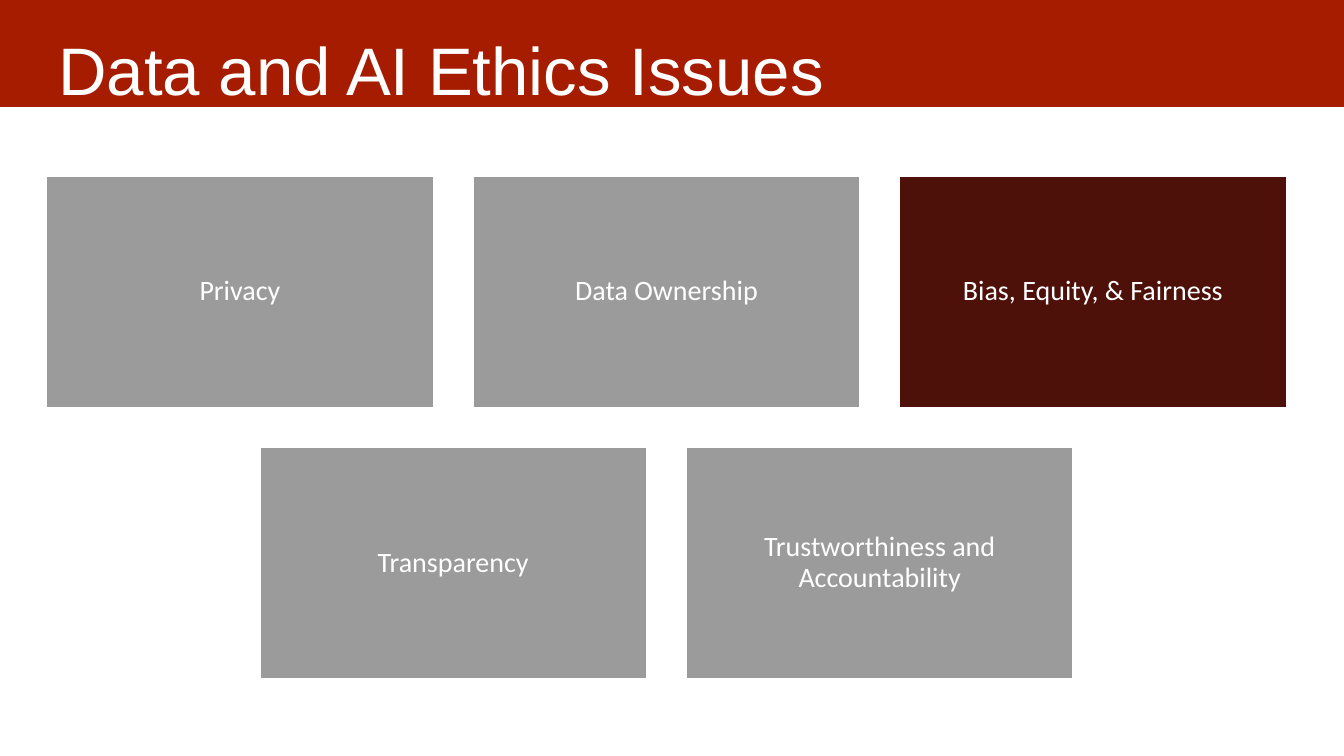
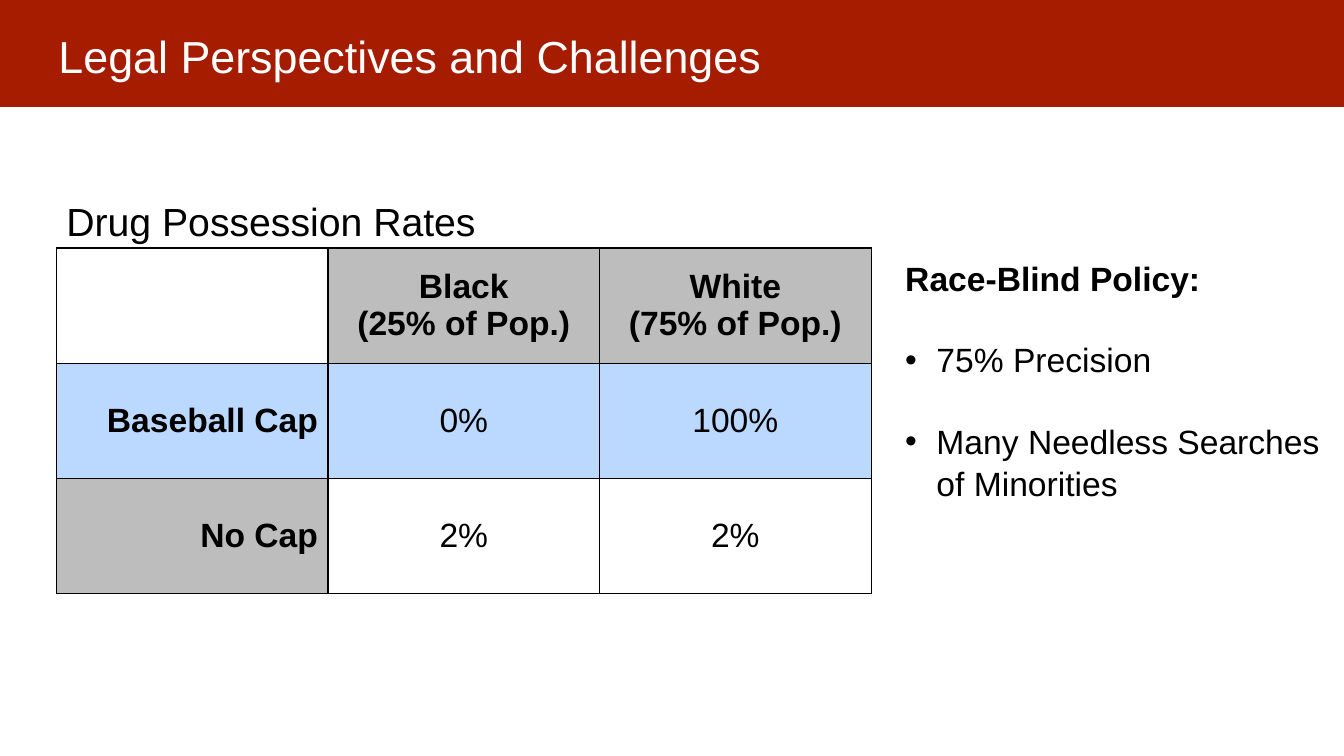
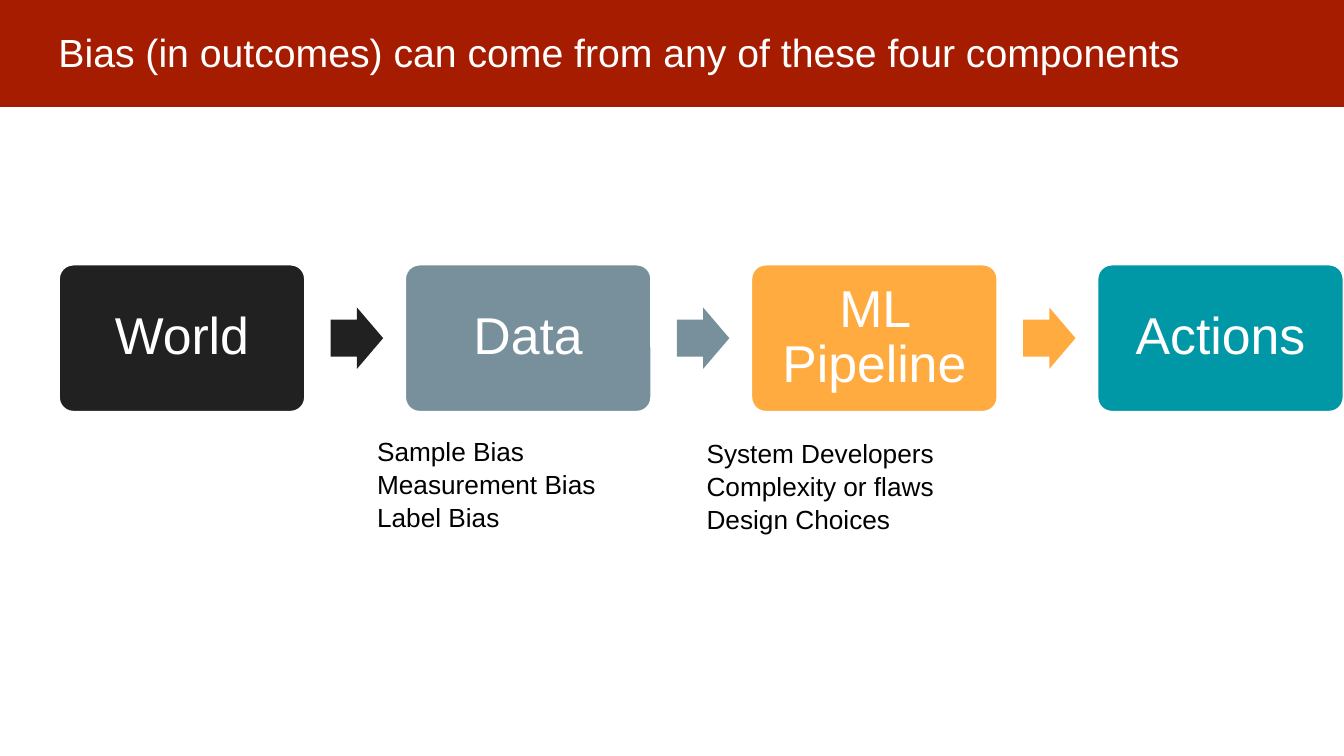
from dataclasses import dataclass
from typing import Any, Optional

from lxml.etree import SubElement
from pptx import Presentation
from pptx.dml.color import RGBColor
from pptx.enum.shapes import MSO_SHAPE
from pptx.enum.text import MSO_ANCHOR, PP_ALIGN
from pptx.oxml.ns import qn
from pptx.util import Inches, Pt

# Shared look
BAND_RED = RGBColor(0xA6, 0x1C, 0x00)
WHITE = RGBColor(0xFF, 0xFF, 0xFF)
BLACK = RGBColor(0x00, 0x00, 0x00)
TOPIC_GRAY = RGBColor(0x9B, 0x9B, 0x9B)
TOPIC_MAROON = RGBColor(0x4D, 0x11, 0x0A)
HEADER_GRAY = RGBColor(0xBD, 0xBD, 0xBD)
ROW_BLUE = RGBColor(0xBB, 0xD8, 0xFF)
STAGE_BLACK = RGBColor(0x21, 0x21, 0x21)
STAGE_SLATE = RGBColor(0x78, 0x90, 0x9C)
STAGE_ORANGE = RGBColor(0xFF, 0xAB, 0x40)
STAGE_TEAL = RGBColor(0x00, 0x97, 0xA7)

BODY_SPACING = 1.04
DIAGRAM_SPACING = 0.9
HANGING_INDENT = Inches(0.31)


@dataclass(frozen=True)
class Box:
    left: float
    top: float
    width: float
    height: float

    def lengths(self) -> tuple:
        return tuple(Inches(v) for v in (self.left, self.top, self.width, self.height))


@dataclass(frozen=True)
class TextStyle:
    size: float
    color: RGBColor = BLACK
    bold: bool = False
    name: str = "Arial"
    alignment: PP_ALIGN = PP_ALIGN.LEFT
    line_spacing: float = BODY_SPACING


@dataclass(frozen=True)
class Line:
    text: str
    style: TextStyle
    bullet: bool = False
    space_before: float = 0


@dataclass(frozen=True)
class Tile:
    label: str
    fill: RGBColor


@dataclass(frozen=True)
class Cell:
    text: str = ""
    fill: Optional[RGBColor] = None
    bold: bool = False
    alignment: PP_ALIGN = PP_ALIGN.CENTER


def apply_format(target: Any, values: dict) -> None:
    for name, value in values.items():
        setattr(target, name, value)


def add_bullet(paragraph: Any) -> None:
    properties = paragraph._p.get_or_add_pPr()
    properties.set("marL", str(HANGING_INDENT))
    properties.set("indent", str(-HANGING_INDENT))
    SubElement(properties, qn("a:buFont")).set("typeface", "Arial")
    SubElement(properties, qn("a:buChar")).set("char", "•")


def write_lines(frame: Any, lines: list[Line]) -> None:
    for index, line in enumerate(lines):
        paragraph = frame.paragraphs[0] if index == 0 else frame.add_paragraph()
        style = line.style
        if line.bullet:
            add_bullet(paragraph)
        apply_format(paragraph, {
            "alignment": style.alignment,
            "line_spacing": style.line_spacing,
            "space_before": Pt(line.space_before),
        })
        run = paragraph.add_run()
        run.text = line.text
        apply_format(run.font, {"name": style.name, "size": Pt(style.size), "bold": style.bold})
        run.font.color.rgb = style.color


def add_text(slide: Any, box: Box, lines: list[Line], **frame_format: Any) -> None:
    frame = slide.shapes.add_textbox(*box.lengths()).text_frame
    apply_format(frame, {"word_wrap": True, **frame_format})
    write_lines(frame, lines)


def add_filled_shape(slide: Any, kind: MSO_SHAPE, box: Box, fill: RGBColor,
                     outlined: bool = False) -> Any:
    shape = slide.shapes.add_shape(kind, *box.lengths())
    shape.shadow.inherit = False
    shape.fill.solid()
    shape.fill.fore_color.rgb = fill
    if outlined:
        shape.line.color.rgb = WHITE
        shape.line.width = Pt(2)
    else:
        shape.line.fill.background()
    return shape


def add_tile(slide: Any, kind: MSO_SHAPE, box: Box, tile: Tile,
             style: TextStyle, inset: float) -> Any:
    shape = add_filled_shape(slide, kind, box, tile.fill, outlined=True)
    margins = {f"margin_{side}": Inches(inset) for side in ("left", "top", "right", "bottom")}
    apply_format(shape.text_frame, {
        "word_wrap": True, "vertical_anchor": MSO_ANCHOR.MIDDLE, **margins,
    })
    write_lines(shape.text_frame, [Line(tile.label, style)])
    return shape


def add_titled_slide(presentation: Any, title: str, size: float) -> Any:
    slide = presentation.slides.add_slide(presentation.slide_layouts[6])
    add_filled_shape(slide, MSO_SHAPE.RECTANGLE, Box(-0.02, -0.04, 13.36, 1.1), BAND_RED)
    add_text(slide, Box(0.45, 0.09, 12.42, 0.83),
             [Line(title, TextStyle(size, WHITE, line_spacing=1.0))],
             margin_left=Inches(0.13), margin_right=Inches(0.13),
             margin_top=Inches(0.19), margin_bottom=Inches(0.13))
    return slide


def build_issues(presentation: Any) -> None:
    slide = add_titled_slide(presentation, "Data and AI Ethics Issues", 48)
    style = TextStyle(20, WHITE, name="Calibri", alignment=PP_ALIGN.CENTER,
                      line_spacing=DIAGRAM_SPACING)
    rows = [
        [Tile("Privacy", TOPIC_GRAY), Tile("Data Ownership", TOPIC_GRAY),
         Tile("Bias, Equity, & Fairness", TOPIC_MAROON)],
        [Tile("Transparency", TOPIC_GRAY),
         Tile("Trustworthiness and Accountability", TOPIC_GRAY)],
    ]
    # Each row of tiles is centred on the same axis
    center, top, width, height, gap = 6.61, 1.74, 3.85, 2.31, 0.38
    for row_index, row in enumerate(rows):
        left = center - (len(row) * (width + gap) - gap) / 2
        for column, tile in enumerate(row):
            box = Box(left + column * (width + gap), top + row_index * (height + gap),
                      width, height)
            add_tile(slide, MSO_SHAPE.RECTANGLE, box, tile, style, 0.08)


def format_cell(cell: Any, content: Cell) -> None:
    cell.vertical_anchor = MSO_ANCHOR.MIDDLE
    properties = cell._tc.get_or_add_tcPr()
    for edge in ("lnL", "lnR", "lnT", "lnB"):
        border = SubElement(properties, qn(f"a:{edge}"), w=str(Pt(1)))
        fill = SubElement(border, qn("a:solidFill"))
        SubElement(fill, qn("a:srgbClr"), val=str(BLACK))
    if content.fill is None:
        cell.fill.background()
    else:
        cell.fill.solid()
        cell.fill.fore_color.rgb = content.fill
    if content.text:
        style = TextStyle(24, bold=content.bold, alignment=content.alignment, line_spacing=1.0)
        write_lines(cell.text_frame, [Line(text, style) for text in content.text.split("\n")])


def build_legal(presentation: Any) -> None:
    slide = add_titled_slide(presentation, "Legal Perspectives and Challenges", 32)
    # Rates table
    rows = [
        [Cell(), Cell("Black\n(25% of Pop.)", HEADER_GRAY, True),
         Cell("White\n(75% of Pop.)", HEADER_GRAY, True)],
        [Cell("Baseball Cap", ROW_BLUE, True, PP_ALIGN.RIGHT),
         Cell("0%", ROW_BLUE), Cell("100%", ROW_BLUE)],
        [Cell("No Cap", HEADER_GRAY, True, PP_ALIGN.RIGHT), Cell("2%"), Cell("2%")],
    ]
    table = slide.shapes.add_table(3, 3, *Box(0.56, 2.46, 8.08, 3.43).lengths()).table
    apply_format(table, {"first_row": False, "horz_banding": False})
    for row_index, row in enumerate(rows):
        for column, content in enumerate(row):
            format_cell(table.cell(row_index, column), content)
    add_text(slide, Box(0.56, 1.89, 4.35, 0.57),
             [Line("Drug Possession Rates", TextStyle(28))])

    # Policy notes
    note = TextStyle(24)
    add_text(slide, Box(8.88, 2.49, 4.45, 2.52), [
        Line("Race-Blind Policy:", TextStyle(24, bold=True)),
        Line("75% Precision", note, bullet=True, space_before=28.5),
        Line("Many Needless Searches of Minorities", note, bullet=True, space_before=28.5),
    ])


def build_components(presentation: Any) -> None:
    slide = add_titled_slide(
        presentation, "Bias (in outcomes) can come from any of these four components", 28)
    style = TextStyle(37, WHITE, alignment=PP_ALIGN.CENTER, line_spacing=DIAGRAM_SPACING)
    stages = [Tile("World", STAGE_BLACK), Tile("Data", STAGE_SLATE),
              Tile("ML Pipeline", STAGE_ORANGE), Tile("Actions", STAGE_TEAL)]
    # Stages, each but the last followed by an arrow in its colour
    first_left, pitch = 0.58, 10.3 / 3
    for index, stage in enumerate(stages):
        left = first_left + index * pitch
        tile = add_tile(slide, MSO_SHAPE.ROUNDED_RECTANGLE, Box(left, 2.62, 2.45, 1.47),
                        stage, style, 0.15)
        tile.adjustments[0] = 0.1
        if index < len(stages) - 1:
            arrow = add_filled_shape(slide, MSO_SHAPE.RIGHT_ARROW,
                                     Box(left + 2.7, 3.05, 0.52, 0.61), stage.fill)
            arrow.adjustments[0] = 0.6

    # Sources of bias below the stages
    source = TextStyle(18.7)
    add_text(slide, Box(6.91, 4.28, 2.96, 1.04), [
        Line(text, source)
        for text in ("System Developers", "Complexity or flaws", "Design Choices")])
    add_text(slide, Box(2.97, 4.26, 3.76, 1.04), [
        Line(text, source) for text in ("Sample Bias", "Measurement Bias", "Label Bias")],
        margin_left=Inches(0.77))


def main() -> None:
    presentation = Presentation()
    apply_format(presentation, {"slide_width": Inches(13.33), "slide_height": Inches(7.5)})
    for build in (build_issues, build_legal, build_components):
        build(presentation)
    presentation.save("out.pptx")


if __name__ == "__main__":
    main()
